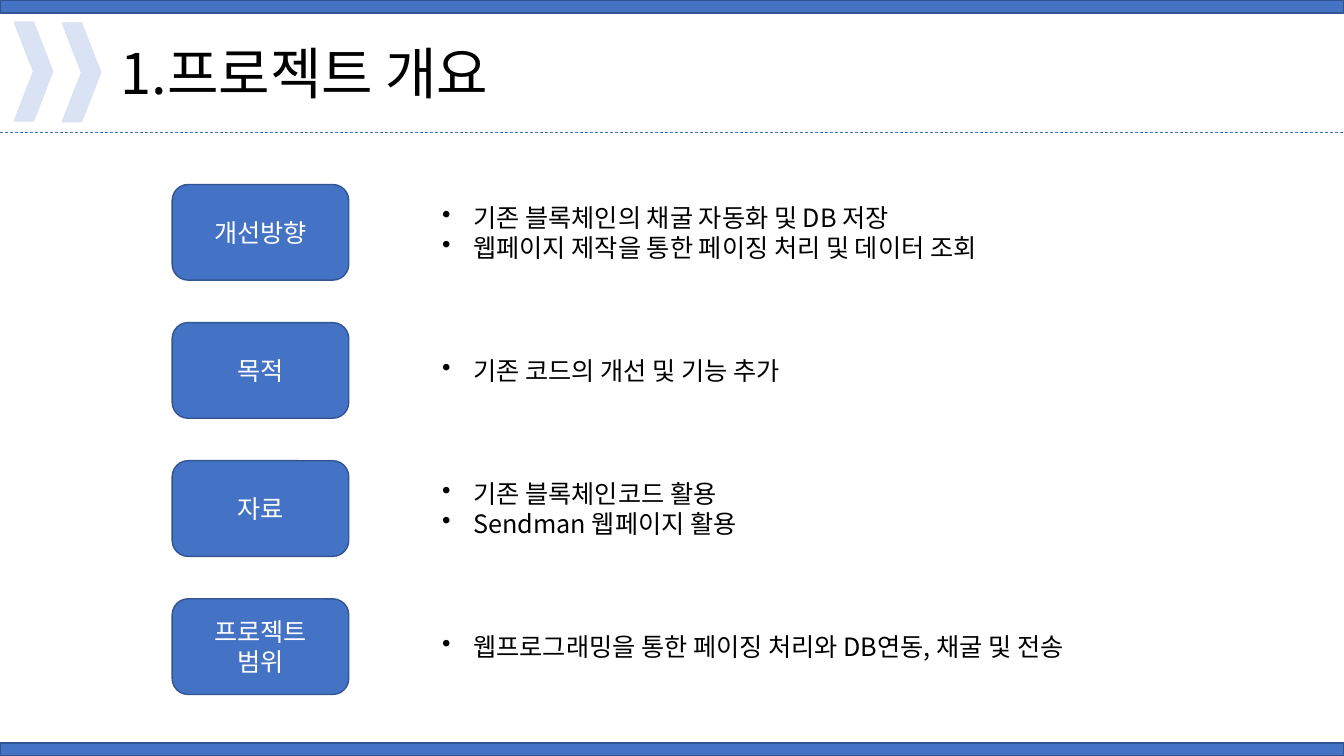
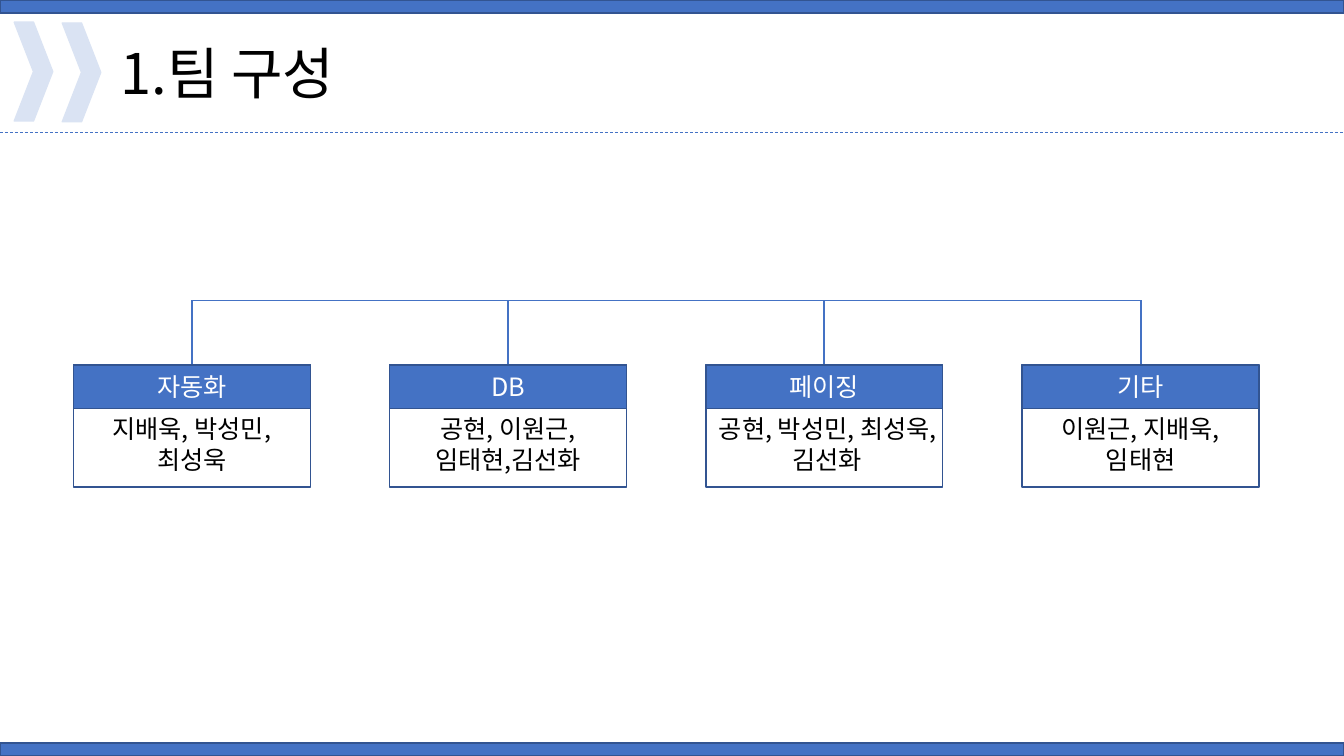
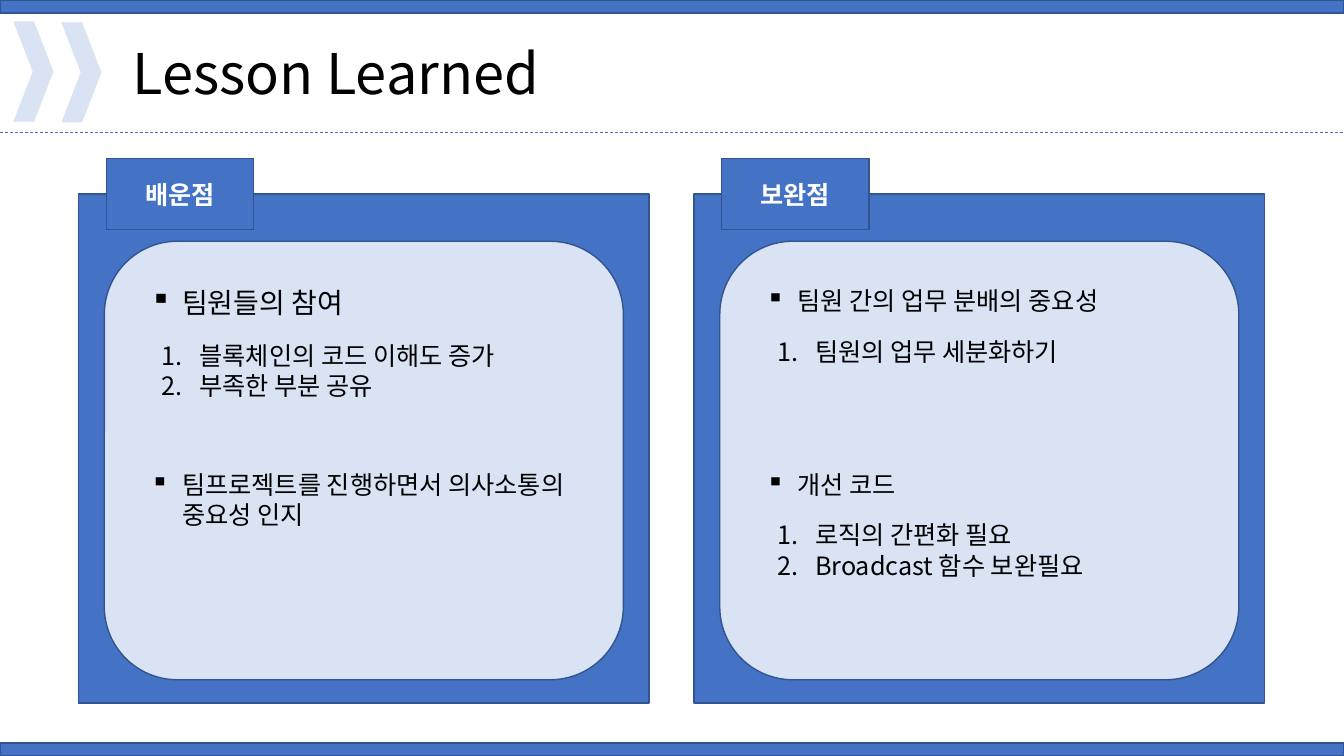
from lxml.etree import SubElement
from pptx import Presentation
from pptx.dml.color import RGBColor
from pptx.enum.dml import MSO_LINE
from pptx.enum.shapes import MSO_CONNECTOR, MSO_SHAPE
from pptx.enum.text import MSO_ANCHOR, PP_ALIGN
from pptx.oxml.ns import qn
from pptx.util import Cm, Pt

COLORS = {"blue": "4472C4", "edge": "325491", "pale": "DAE3F3",
          "white": "FFFFFF", "black": "000000"}
FONT = "Noto Sans CJK KR"
WIDTH, HEIGHT = 33.87, 19.05
BAND = 0.33
BULLET_INDENT, NUMBER_INDENT = 0.79, 0.95

OVERVIEW = [
    (["개선방향"], ["기존 블록체인의 채굴 자동화 및 DB 저장",
                "웹페이지 제작을 통한 페이징 처리 및 데이터 조회"]),
    (["목적"], ["기존 코드의 개선 및 기능 추가"]),
    (["자료"], ["기존 블록체인코드 활용", "Sendman 웹페이지 활용"]),
    (["프로젝트", "범위"], ["웹프로그래밍을 통한 페이징 처리와 DB연동, 채굴 및 전송"]),
]
TEAMS = [
    ("자동화", ["지배욱, 박성민,", "최성욱"]),
    ("DB", ["공현, 이원근,", "임태현,김선화"]),
    ("페이징", ["공현, 박성민, 최성욱, 김선화"]),
    ("기타", ["이원근, 지배욱,", "임태현"]),
]
# Each topic: heading, text size of the heading, numbered points
LESSONS = [
    ("배운점", [("팀원들의 참여", 20, ["블록체인의 코드 이해도 증가", "부족한 부분 공유"]),
             ("팀프로젝트를 진행하면서 의사소통의 중요성 인지", 18, [])]),
    ("보완점", [("팀원 간의 업무 분배의 중요성", 18, ["팀원의 업무 세분화하기"]),
             ("개선 코드", 18, ["로직의 간편화 필요", "Broadcast 함수 보완필요"])]),
]


def color(name):
    return RGBColor.from_string(COLORS[name])


def add_bullet(para, bullet):
    """Hang the paragraph on a bullet character, or on a number for "1."."""
    numbered = bullet == "1."
    indent = Cm(NUMBER_INDENT if numbered else BULLET_INDENT)
    properties = para._p.get_or_add_pPr()
    properties.set("marL", str(indent))
    properties.set("indent", str(-indent))
    if numbered:
        SubElement(properties, qn("a:buAutoNum"), type="arabicPeriod")
    else:
        SubElement(properties, qn("a:buChar"), char=bullet)


def write(box, lines, size=18, ink="black", bold=False, align=PP_ALIGN.LEFT,
          anchor=MSO_ANCHOR.TOP, bullet=None):
    frame = box.text_frame
    frame.word_wrap = True
    frame.vertical_anchor = anchor
    for index, line in enumerate(lines):
        para = frame.paragraphs[0] if index == 0 else frame.add_paragraph()
        para.alignment = align
        if bullet:
            add_bullet(para, bullet)
        span = para.add_run()
        span.text = line
        span.font.size = Pt(size)
        span.font.bold = bold
        span.font.color.rgb = color(ink)
        span.font.name = FONT
        SubElement(span.font._element, qn("a:ea"), typeface=FONT)


def add_text(page, left, top, width, height, lines, **style):
    box = page.shapes.add_textbox(Cm(left), Cm(top), Cm(width), Cm(height))
    write(box, lines, **style)


def add_block(page, kind, left, top, width, height, fill="blue", edge="edge"):
    block = page.shapes.add_shape(kind, Cm(left), Cm(top), Cm(width), Cm(height))
    block.shadow.inherit = False
    if fill:
        block.fill.solid()
        block.fill.fore_color.rgb = color(fill)
    else:
        block.fill.background()
    block.line.color.rgb = color(edge)
    block.line.width = Pt(1)
    return block


def add_label(page, kind, left, top, width, height, lines, bold=False):
    block = add_block(page, kind, left, top, width, height)
    write(block, lines, ink="white", bold=bold, align=PP_ALIGN.CENTER,
          anchor=MSO_ANCHOR.MIDDLE)


def add_line(page, start, end, weight=1.25, dash=None):
    line = page.shapes.add_connector(MSO_CONNECTOR.STRAIGHT,
                                     *(Cm(value) for value in start + end))
    line.line.color.rgb = color("blue")
    line.line.width = Pt(weight)
    line.line.dash_style = dash
    SubElement(line._element.spPr, qn("a:effectLst"))


def add_page(deck, title, title_left=2.79):
    """Add a slide with its bands, divider, chevrons and title."""
    page = deck.slides.add_slide(deck.slide_layouts[6])
    for top in (0, HEIGHT - BAND):
        add_block(page, MSO_SHAPE.RECTANGLE, 0, top, WIDTH, BAND)
    add_line(page, (0, 3.33), (WIDTH, 3.33), weight=0.5, dash=MSO_LINE.DASH)
    add_text(page, title_left, 0.84, 20.73, 1.96, [title], size=40)
    for left, top in ((0.36, 0.56), (1.57, 0.58)):
        add_block(page, MSO_SHAPE.CHEVRON, left, top, 0.97, 2.49, "pale", "pale")
    return page


def add_overview_row(page, left, top, label, points):
    height = 2.41
    add_label(page, MSO_SHAPE.ROUNDED_RECTANGLE, left, top, 4.45, height, label)
    add_text(page, left + 6.55, top, 20.73, height, points, bullet="•",
             anchor=MSO_ANCHOR.MIDDLE)


def add_team(page, left, top, width, name, members):
    header = 1.1
    add_block(page, MSO_SHAPE.RECTANGLE, left, top, width, 3.07, fill=None)
    add_label(page, MSO_SHAPE.RECTANGLE, left, top, width, header, [name])
    add_text(page, left, top + header, width, 1.8, members, align=PP_ALIGN.CENTER)


def add_team_chart(page, left, top, pitch=7.97, width=5.97, drop=1.63):
    centers = [left + width / 2 + index * pitch for index in range(len(TEAMS))]
    add_line(page, (centers[0], top), (centers[-1], top))
    for center, (name, members) in zip(centers, TEAMS):
        add_line(page, (center, top), (center, top + drop))
        add_team(page, center - width / 2, top + drop, width, name, members)


def add_lesson_panel(page, left, top, name, topics):
    add_block(page, MSO_SHAPE.FLOWCHART_PROCESS, left, top, 14.38, 12.83)
    add_block(page, MSO_SHAPE.FLOWCHART_ALTERNATE_PROCESS, left + 0.65, top + 1.19,
              13.08, 11.05, "pale")
    add_label(page, MSO_SHAPE.FLOWCHART_PROCESS, left + 0.7, top - 0.9, 3.71, 1.8,
              [name], bold=True)
    for index, (heading, size, points) in enumerate(topics):
        topic_top = top + 2.18 + index * 4.63
        add_text(page, left + 1.57, topic_top, 11.23, 1.02, [heading], size=size,
                 bullet="▪")
        if points:
            points_top = topic_top + 0.37 + size * 0.05
            add_text(page, left + 1.85, points_top, 10, 1.8, points, bullet="1.")


def main():
    deck = Presentation()
    deck.slide_width, deck.slide_height = Cm(WIDTH), Cm(HEIGHT)

    page = add_page(deck, "1.프로젝트 개요")
    for index, (label, points) in enumerate(OVERVIEW):
        add_overview_row(page, 4.34, 4.65 + index * 3.48, label, points)

    page = add_page(deck, "1.팀 구성")
    add_team_chart(page, 1.85, 7.57)

    page = add_page(deck, "Lesson Learned", title_left=3.1)
    for index, (name, topics) in enumerate(LESSONS):
        add_lesson_panel(page, 1.98 + index * 15.51, 4.89, name, topics)

    deck.save("out.pptx")


if __name__ == "__main__":
    main()
